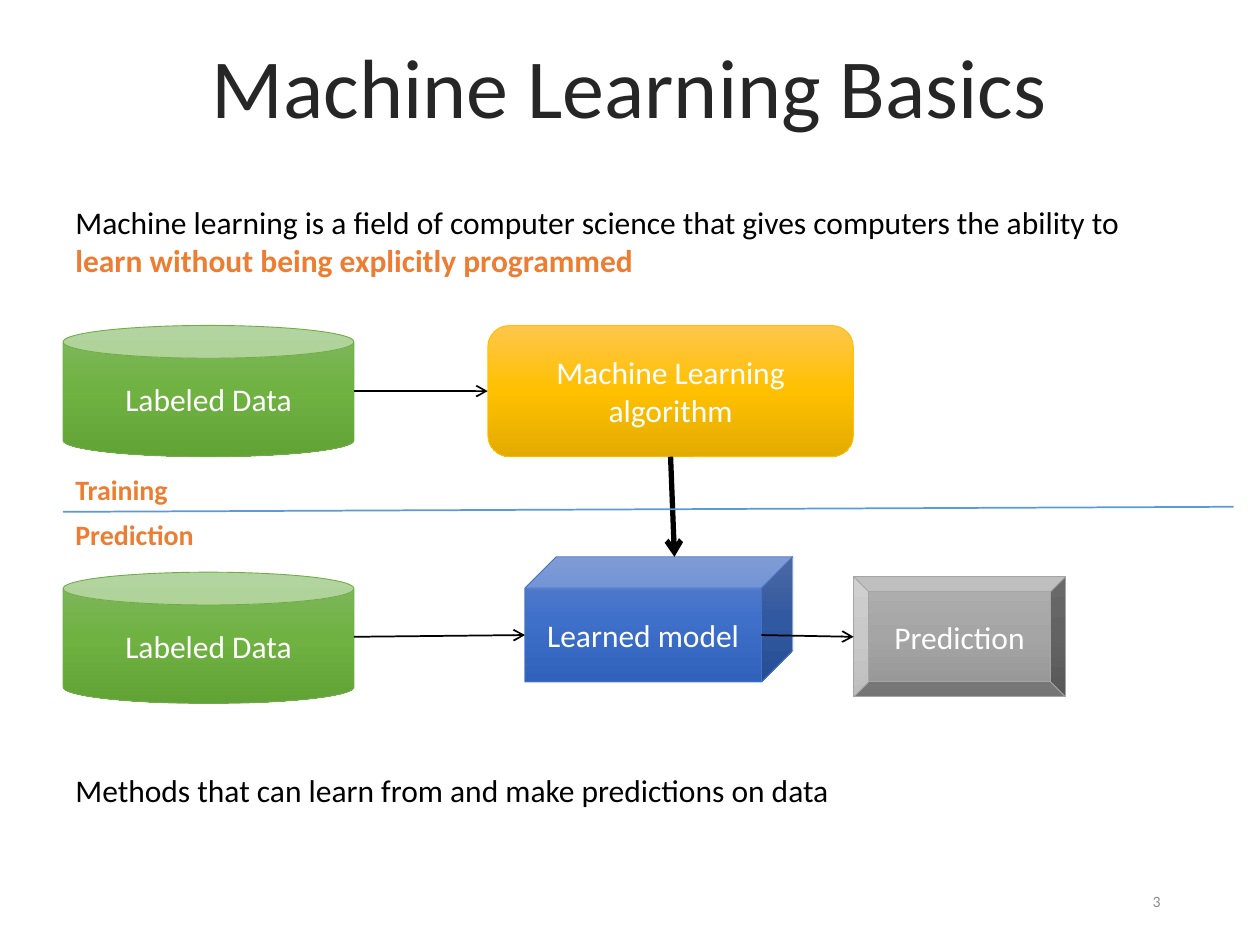
from copy import deepcopy

from pptx import Presentation
from pptx.dml.color import RGBColor
from pptx.enum.shapes import MSO_CONNECTOR, MSO_SHAPE
from pptx.enum.text import MSO_ANCHOR, MSO_AUTO_SIZE, PP_ALIGN
from pptx.oxml.ns import qn
from pptx.util import Pt

STRAIGHT = MSO_CONNECTOR.STRAIGHT
CAN, CUBE, BEVEL = MSO_SHAPE.CAN, MSO_SHAPE.CUBE, MSO_SHAPE.BEVEL
ROUNDED = MSO_SHAPE.ROUNDED_RECTANGLE
LEFT, CENTER, RIGHT = PP_ALIGN.LEFT, PP_ALIGN.CENTER, PP_ALIGN.RIGHT
TOP, MIDDLE = MSO_ANCHOR.TOP, MSO_ANCHOR.MIDDLE
FIT_SHAPE = MSO_AUTO_SIZE.SHAPE_TO_FIT_TEXT

FONT = "Calibri"
BLACK, WHITE, ORANGE, BLUE = "000000", "FFFFFF", "ED7D31", "5B9BD5"
# Line colour, then gradient from top to bottom
GREEN_FILL = "70AD47", ("81B861", "6FB242", "62A336")
YELLOW_FILL = "FFC000", ("FFC64B", "FFC000", "E3AB00")
BLUE_FILL = "4472C4", ("6183CB", "3E70CA", "3062BB")
GRAY_FILL = "A5A5A5", ("AFAFAF", "A5A5A5", "939393")

MARGIN = 36
CAN_WIDTH, STEP_HEIGHT = 166.3, 75
TRAINING_TOP, PREDICTION_TOP = 186, 327


def rgb(value):
    return RGBColor.from_string(value)


def add_text(para, text, size=18, color=BLACK, bold=False, align=LEFT):
    para.alignment = align
    span = para.add_run()
    span.text = text
    span.font.name = FONT
    span.font.size = Pt(size)
    span.font.bold = bold
    span.font.color.rgb = rgb(color)


def add_box(page, left, top, width, height, anchor=TOP, wrap=True, fit=False):
    """Add a text box and return its first paragraph."""
    box = page.shapes.add_textbox(Pt(left), Pt(top), Pt(width), Pt(height))
    frame = box.text_frame
    frame.word_wrap = wrap
    frame.vertical_anchor = anchor
    if fit:
        frame.auto_size = FIT_SHAPE
    return frame.paragraphs[0]


def fill_gradient(shape, colors):
    shape.fill.gradient()
    shape.fill.gradient_angle = 270
    stops = shape.fill.gradient_stops
    first = stops[0]._gs
    first.addnext(deepcopy(first))
    for index, (stop, color) in enumerate(zip(shape.fill.gradient_stops, colors)):
        stop.position = index / 2
        stop.color.rgb = rgb(color)


def add_step(page, kind, text, left, top, width, height, palette):
    """Add one labelled step of the process."""
    outline, colors = palette
    step = page.shapes.add_shape(kind, Pt(left), Pt(top), Pt(width), Pt(height))
    step.shadow.inherit = False
    fill_gradient(step, colors)
    step.line.color.rgb = rgb(outline)
    step.line.width = Pt(0.5)
    step.text_frame.word_wrap = True
    step.text_frame.vertical_anchor = MIDDLE
    add_text(step.text_frame.paragraphs[0], text, color=WHITE, align=CENTER)
    return step


def add_line(page, start, end, color=BLACK, width=1, arrow=True):
    line = page.shapes.add_connector(STRAIGHT, *map(Pt, start + end))
    line.line.color.rgb = rgb(color)
    line.line.width = Pt(width)
    if arrow:
        outline = line.line._get_or_add_ln()
        outline.append(outline.makeelement(qn("a:tailEnd"), {"type": "arrow"}))
    properties = line._element.spPr
    properties.append(properties.makeelement(qn("a:effectLst"), {}))
    return line


def add_diagram(page):
    # Steps
    for top in (TRAINING_TOP, PREDICTION_TOP):
        add_step(page, CAN, "Labeled Data", MARGIN, top, CAN_WIDTH, STEP_HEIGHT, GREEN_FILL)
    algorithm = add_step(page, ROUNDED, "Machine Learning algorithm",
                         278.7, TRAINING_TOP, 209, STEP_HEIGHT, YELLOW_FILL)
    add_step(page, CUBE, "Learned model", 300, 318.2, 153, 71.5, BLUE_FILL)
    add_step(page, BEVEL, "Prediction", 487.8, 329.6, 121, 68.6, GRAY_FILL)

    # Arrows between the steps
    can_right = MARGIN + CAN_WIDTH
    training_middle = TRAINING_TOP + STEP_HEIGHT / 2
    prediction_middle = PREDICTION_TOP + STEP_HEIGHT / 2 - 0.6
    to_algorithm = add_line(page, (can_right, training_middle), (278.7, training_middle))
    to_algorithm.end_connect(algorithm, 1)
    add_line(page, (can_right, prediction_middle), (300, 362.9))
    add_line(page, (435.1, 362.9), (487.8, prediction_middle))
    to_model = add_line(page, (383.2, 261), (385.4, 318.2), width=3)
    to_model.begin_connect(algorithm, 2)

    # Divider and its two labels
    add_line(page, (MARGIN, 292.5), (704.9, 289.6), color=BLUE, arrow=False)
    for text, top, width in (("Training", 266.4, 75), ("Prediction", 292, 93)):
        label = add_box(page, MARGIN, top, width, 26.6, wrap=False, fit=True)
        add_text(label, text, size=16, color=ORANGE, bold=True)


def main():
    deck = Presentation()
    deck.slide_width, deck.slide_height = Pt(720), Pt(540)
    page = deck.slides.add_slide(deck.slide_layouts[6])

    # Definition and summary
    definition = add_box(page, MARGIN, 112.3, 622, 51, fit=True)
    add_text(definition, "Machine learning is a field of computer science "
                         "that gives computers the ability to ")
    add_text(definition, "learn without being explicitly programmed", color=ORANGE, bold=True)
    summary = add_box(page, MARGIN, 437, 669, 29, fit=True)
    add_text(summary, "Methods that can learn from and make predictions on data")

    add_diagram(page)

    # Title and page number
    title = add_box(page, 43.2, 14.4, 633, 68, anchor=MIDDLE)
    add_text(title, "Machine Learning Basics", size=48, color="262626", align=CENTER)
    number = add_box(page, 508.3, 500.4, 162, 28.8, anchor=MIDDLE)
    add_text(number, "3", size=9, color="8C8C8C", align=RIGHT)

    deck.save("out.pptx")


if __name__ == "__main__":
    main()
